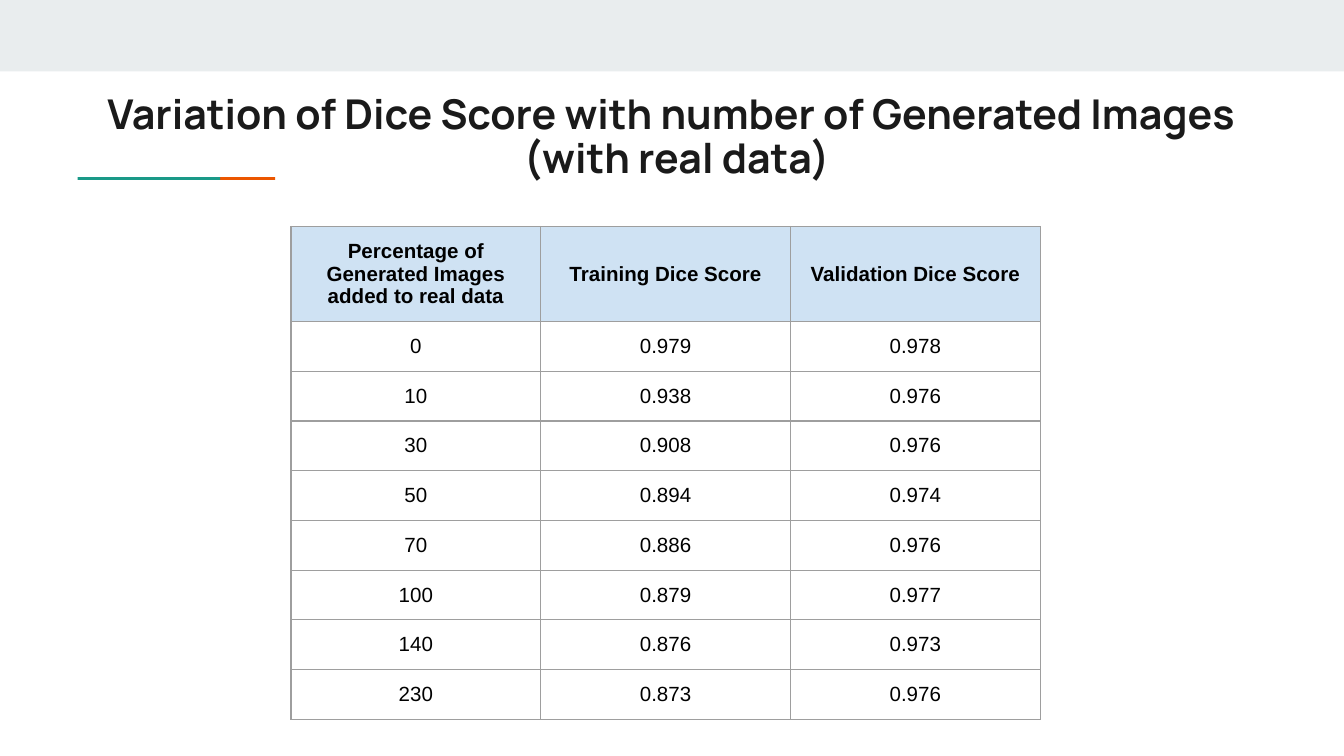
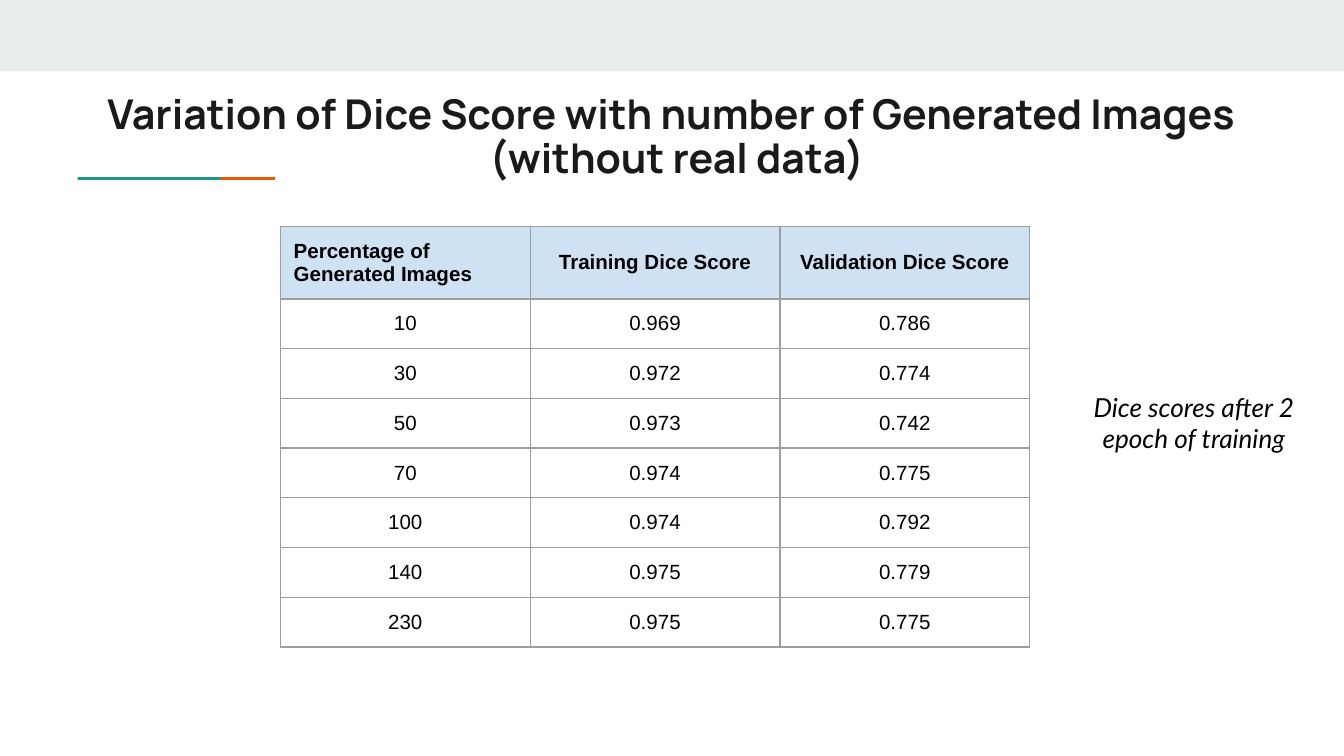
from dataclasses import dataclass

from lxml.etree import SubElement
from pptx import Presentation
from pptx.dml.color import RGBColor
from pptx.enum.shapes import MSO_SHAPE as Preset
from pptx.enum.text import MSO_ANCHOR as Anchor, MSO_AUTO_SIZE as AutoSize, PP_ALIGN as Align
from pptx.oxml.ns import qn
from pptx.util import Cm, Pt


@dataclass(frozen=True)
class Theme:
    band: str = "E9EDEE"
    orange: str = "EB5600"
    green: str = "1A9988"
    title_ink: str = "1A1A1A"
    ink: str = "000000"
    header_fill: str = "CFE2F3"
    grid: str = "9E9E9E"
    title_font: str = "Manrope"
    table_font: str = "Arial"
    note_font: str = "Lato"
    title_size: float = 22
    table_size: float = 11
    note_size: float = 14
    grid_width: float = 0.75
    inset: float = 0.25


THEME = Theme()
SLIDE_WIDTH, SLIDE_HEIGHT = 25.4, 14.29
TABLE_TOP, COLUMN_WIDTH, ROW_HEIGHT = 4.28, 4.72, 0.94
TITLE_START = "Variation of Dice Score with number of Generated Images"
SCORE_HEADINGS = ["Training Dice Score", "Validation Dice Score"]

WITH_REAL_DATA = [
    ("0", "0.979", "0.978"),
    ("10", "0.938", "0.976"),
    ("30", "0.908", "0.976"),
    ("50", "0.894", "0.974"),
    ("70", "0.886", "0.976"),
    ("100", "0.879", "0.977"),
    ("140", "0.876", "0.973"),
    ("230", "0.873", "0.976"),
]
WITHOUT_REAL_DATA = [
    ("10", "0.969", "0.786"),
    ("30", "0.972", "0.774"),
    ("50", "0.973", "0.742"),
    ("70", "0.974", "0.775"),
    ("100", "0.974", "0.792"),
    ("140", "0.975", "0.779"),
    ("230", "0.975", "0.775"),
]


def style_paragraph(paragraph, font_name, size, color, align, bold=False, italic=False):
    paragraph.alignment = align
    font = paragraph.font
    font.name, font.size = font_name, Pt(size)
    font.bold, font.italic = bold, italic
    font.color.rgb = RGBColor.from_string(color)


def set_insets(holder):
    """Give a text frame or table cell the same margin on every side."""
    holder.margin_left = holder.margin_right = Cm(THEME.inset)
    holder.margin_top = holder.margin_bottom = Cm(THEME.inset)


def add_bar(slide, left, top, width, height, color):
    bar = slide.shapes.add_shape(Preset.RECTANGLE, Cm(left), Cm(top), Cm(width), Cm(height))
    bar.shadow.inherit = False
    bar.fill.solid()
    bar.fill.fore_color.rgb = RGBColor.from_string(color)
    bar.line.fill.background()


def add_title(slide, lines):
    title = slide.shapes.title
    title.left, title.top, title.width, title.height = Cm(1.78), Cm(1.55), Cm(22.02), Cm(1.88)
    frame = title.text_frame
    frame.text = "\n".join(lines)
    frame.word_wrap = True
    frame.auto_size = AutoSize.NONE
    frame.vertical_anchor = Anchor.TOP
    set_insets(frame)
    for paragraph, align in zip(frame.paragraphs, (Align.LEFT, Align.CENTER)):
        style_paragraph(paragraph, THEME.title_font, THEME.title_size, THEME.title_ink,
                        align, bold=True)
        paragraph.line_spacing = 0.88
        paragraph.space_before = Pt(0)


def add_result_slide(deck, data_scope):
    """Add a slide with the shared band, accent rule and two-line title."""
    slide = deck.slides.add_slide(deck.slide_layouts[5])
    add_bar(slide, 0, 0, SLIDE_WIDTH, 1.35, THEME.band)
    for left, color in ((2.51, THEME.orange), (1.47, THEME.green)):
        add_bar(slide, left, 3.35, 2.69, 0.05, color)
    add_title(slide, [TITLE_START, data_scope])
    return slide


def add_borders(cell):
    properties = cell._tc.get_or_add_tcPr()
    for position, side in enumerate(("lnL", "lnR", "lnT", "lnB")):
        border = properties.makeelement(qn(f"a:{side}"), {"w": str(Pt(THEME.grid_width))})
        fill = SubElement(border, qn("a:solidFill"))
        SubElement(fill, qn("a:srgbClr"), {"val": THEME.grid})
        properties.insert(position, border)


def fill_cell(cell, text, is_header, align):
    cell.text = text
    cell.vertical_anchor = Anchor.MIDDLE
    set_insets(cell)
    style_paragraph(cell.text_frame.paragraphs[0], THEME.table_font, THEME.table_size,
                    THEME.ink, align, bold=is_header)
    if is_header:
        cell.fill.solid()
        cell.fill.fore_color.rgb = RGBColor.from_string(THEME.header_fill)
    else:
        cell.fill.background()
    add_borders(cell)


def add_score_table(slide, left, share_heading, scores, header_height, share_align=Align.CENTER):
    rows = [(share_heading, *SCORE_HEADINGS), *scores]
    columns = len(rows[0])
    height = header_height + ROW_HEIGHT * len(scores)
    table = slide.shapes.add_table(len(rows), columns, Cm(left), Cm(TABLE_TOP),
                                   Cm(COLUMN_WIDTH * columns), Cm(height)).table
    table.first_row = table.horz_banding = False
    for column in table.columns:
        column.width = Cm(COLUMN_WIDTH)
    for row_index, row in enumerate(rows):
        is_header = row_index == 0
        table.rows[row_index].height = Cm(header_height if is_header else ROW_HEIGHT)
        for column_index, text in enumerate(row):
            is_share_heading = is_header and column_index == 0
            fill_cell(table.cell(row_index, column_index), text, is_header,
                      share_align if is_share_heading else Align.CENTER)


def add_note(slide, text):
    note = slide.shapes.add_textbox(Cm(20), Cm(7.14), Cm(5.13), Cm(1.7))
    frame = note.text_frame
    frame.text = text
    frame.word_wrap = True
    frame.auto_size = AutoSize.SHAPE_TO_FIT_TEXT
    set_insets(frame)
    style_paragraph(frame.paragraphs[0], THEME.note_font, THEME.note_size, THEME.ink,
                    Align.CENTER, italic=True)


def main():
    deck = Presentation()
    deck.slide_width, deck.slide_height = Cm(SLIDE_WIDTH), Cm(SLIDE_HEIGHT)

    mixed = add_result_slide(deck, "(with real data)")
    add_score_table(mixed, 5.5, "Percentage of Generated Images added to real data",
                    WITH_REAL_DATA, header_height=1.79)

    generated_only = add_result_slide(deck, "(without real data)")
    add_score_table(generated_only, 5.3, "Percentage of Generated Images",
                    WITHOUT_REAL_DATA, header_height=1.37, share_align=Align.LEFT)
    add_note(generated_only, "Dice scores after 2 epoch of training")

    deck.save("out.pptx")


if __name__ == "__main__":
    main()
